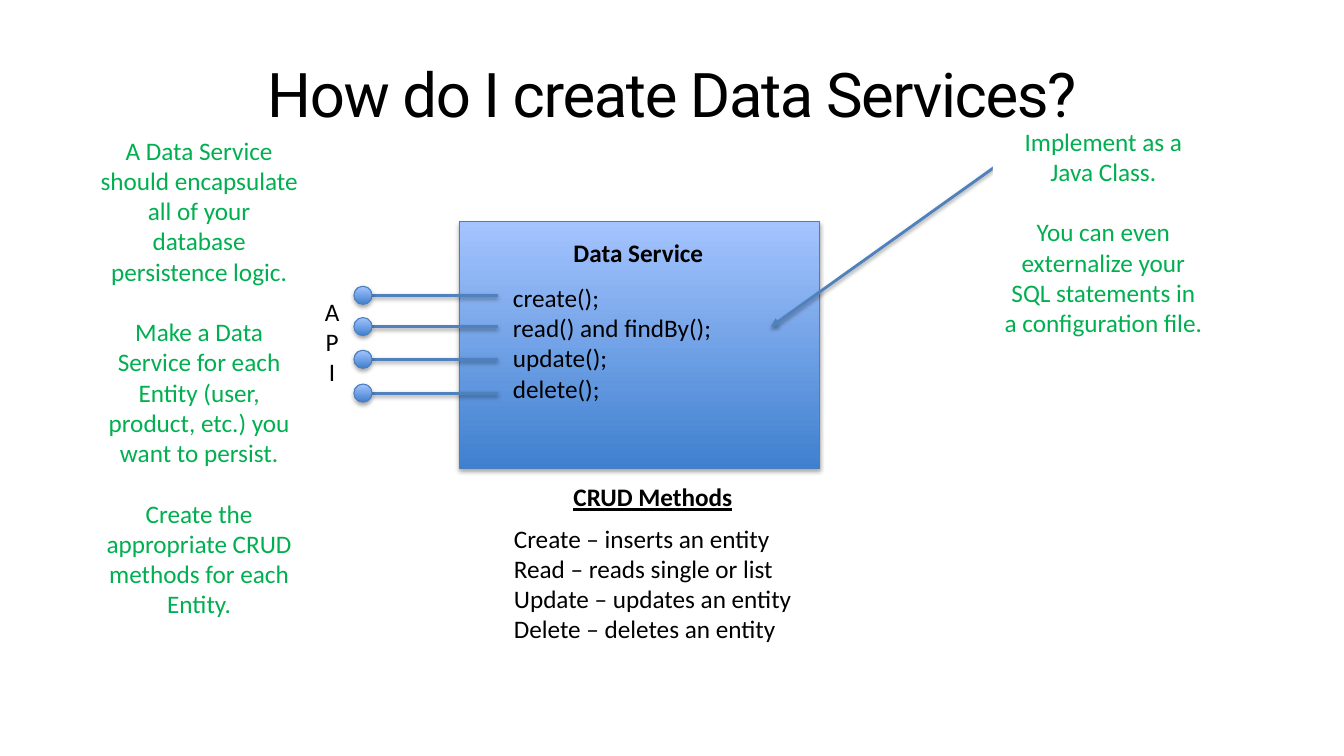
from lxml import etree
from pptx import Presentation
from pptx import util as u
from pptx.dml.color import RGBColor
from pptx.enum import shapes, text
from pptx.oxml import ns

SLIDE_W, SLIDE_H = u.Inches(13.33), u.Inches(7.5)
BLACK, GREEN, WHITE = "000000", "00B050", "FFFFFF"
LINE, EDGE, DARK, LIGHT = "4F81BD", "4B7EBC", "3F80CE", "A4C4FF"
LEFT, CENTER = text.PP_ALIGN.LEFT, text.PP_ALIGN.CENTER


def rgb(value):
    return RGBColor.from_string(value)


# Lengths are percentages of the slide's width and height
def x(share):
    return int(SLIDE_W * share / 100)


def y(share):
    return int(SLIDE_H * share / 100)


def place(left, top, width, height):
    return x(left), y(top), x(width), y(height)


def add_shadow(s, alpha, dist):
    """Soft shadow straight below a shape or line."""
    sp_pr = s._element.spPr
    effects = sp_pr.find(ns.qn("a:effectLst"))
    if effects is None:
        effects = etree.SubElement(sp_pr, ns.qn("a:effectLst"))
    shadow = etree.SubElement(effects, ns.qn("a:outerShdw"), blurRad=str(u.Pt(3.1)),
                              dist=str(u.Pt(dist)), dir="5400000", rotWithShape="0")
    color = etree.SubElement(shadow, ns.qn("a:srgbClr"), val=BLACK)
    etree.SubElement(color, ns.qn("a:alpha"), val=str(alpha * 1000))


def add_text(parent, box, lines, color=BLACK, size=18, font="Calibri", align=LEFT,
             bold=None, underline=None, wrap=False, gap=0):
    s = parent.add_textbox(*place(*box))
    tf = s.text_frame
    tf.word_wrap = wrap
    tf.auto_size = text.MSO_AUTO_SIZE.SHAPE_TO_FIT_TEXT
    tf.text = "\n".join(lines)
    for i, p in enumerate(tf.paragraphs):
        p.alignment = align
        p.space_before = u.Pt(gap if i else 0)
        for r in p.runs:
            r.font.name, r.font.size = font, u.Pt(size)
            r.font.bold, r.font.underline = bold, underline
            r.font.color.rgb = rgb(color)
    return s


def add_title(parent, box, title):
    s = add_text(parent, box, [title], size=44, font="Roboto", align=CENTER, wrap=True)
    s.text_frame.auto_size = text.MSO_AUTO_SIZE.NONE
    s.text_frame.vertical_anchor = text.MSO_ANCHOR.MIDDLE
    s.text_frame.paragraphs[0].runs[0].font._element.set("spc", "-100")


def add_note(parent, box, paragraphs):
    s = add_text(parent, box, paragraphs, GREEN, align=CENTER, wrap=True, gap=21.6)
    s.fill.solid()
    s.fill.fore_color.rgb = rgb(WHITE)


def add_glossy(parent, kind, box):
    s = parent.add_shape(kind, *place(*box))
    s.fill.gradient()
    s.fill.gradient_angle = 90
    for stop, color in zip(s.fill.gradient_stops, (DARK, LIGHT)):
        stop.color.rgb = rgb(color)
    for stop, position in zip(s.fill.gradient_stops, (0, 1)):
        stop.position = position
    s.line.color.rgb = rgb(EDGE)
    s.line.width = u.Pt(0.75)
    s.shadow.inherit = False
    add_shadow(s, 35, 1.8)


def add_line(parent, start, end, arrow=False):
    s = parent.add_connector(shapes.MSO_CONNECTOR.STRAIGHT,
                             x(start[0]), y(start[1]), x(end[0]), y(end[1]))
    s.line.color.rgb = rgb(LINE)
    s.line.width = u.Pt(2)
    if arrow:
        etree.SubElement(s.line._get_or_add_ln(), ns.qn("a:tailEnd"), type="triangle")
    add_shadow(s, 38, 1.6)


def add_pin(parent, row):
    """API entry point: a dot with a line into the service box."""
    pin = parent.add_group_shape().shapes
    add_line(pin, (27.68, row), (37.05, row))
    add_glossy(pin, shapes.MSO_SHAPE.OVAL, (26.33, row - 1.2, 1.35, 2.4))


def main():
    prs = Presentation()
    prs.slide_width, prs.slide_height = SLIDE_W, SLIDE_H
    slide = prs.slides.add_slide(prs.slide_layouts[6])
    parts = slide.shapes

    add_title(parts, (5, 4, 90, 16.67), "How do I create Data Services?")

    # Service box and its methods
    add_glossy(parts, shapes.MSO_SHAPE.RECTANGLE, (34.2, 29.33, 26.78, 32.67))
    add_text(parts, (41.93, 30.67, 11.25, 5.33), ["Data Service"], bold=True)
    add_text(parts, (37.43, 36.67, 16.5, 17.47),
             ["create();", "read() and findBy();", "update();", "delete();"])

    # Advice on the left
    add_note(parts, (6.6, 17.2, 16.43, 66), [
        "A Data Service should encapsulate all of your database persistence logic.",
        "Make a Data Service for each Entity (user, product, etc.) you want to persist.",
        "Create the appropriate CRUD methods for each Entity."])

    # API pins, one per method
    for row in (39.07, 43.2, 47.53, 52):
        add_pin(parts, row)
    add_text(parts, (23.4, 38.53, 2.63, 13.47), "API", align=CENTER)

    # CRUD legend
    add_text(parts, (37.5, 68.53, 22.43, 17.47),
             ["Create – inserts an entity", "Read – reads single or list",
              "Update – updates an entity", "Delete – deletes an entity"])
    add_text(parts, (41.93, 63.07, 13.5, 5.33), ["CRUD Methods"],
             bold=True, underline=True)

    # Advice on the right, pointing at the box
    add_line(parts, (74.18, 21.87), (57.38, 43.2), arrow=True)
    add_note(parts, (73.88, 16, 16.43, 29.6), [
        "Implement as a Java Class.",
        "You can even externalize your SQL statements in a configuration file."])

    prs.save("out.pptx")


if __name__ == "__main__":
    main()
